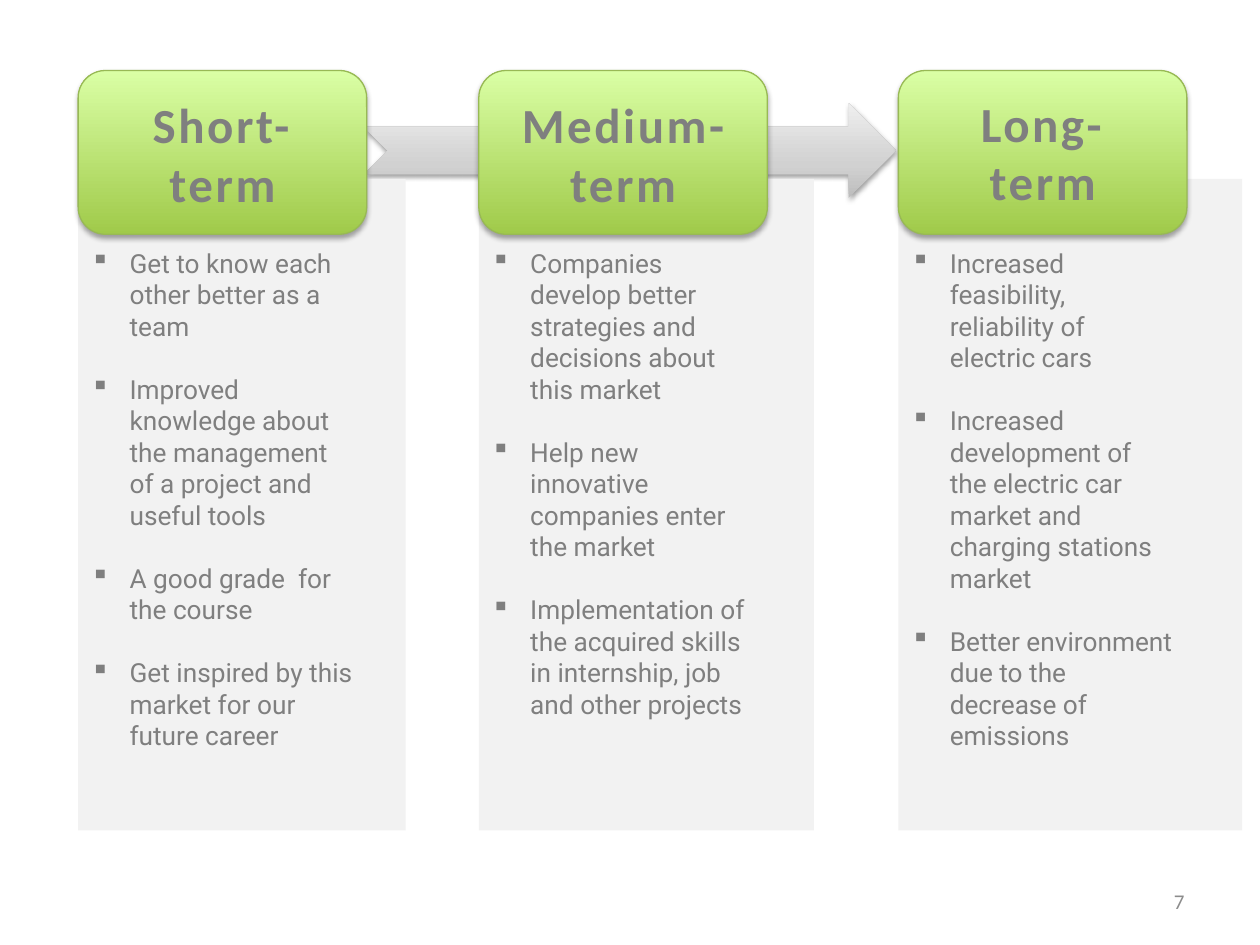
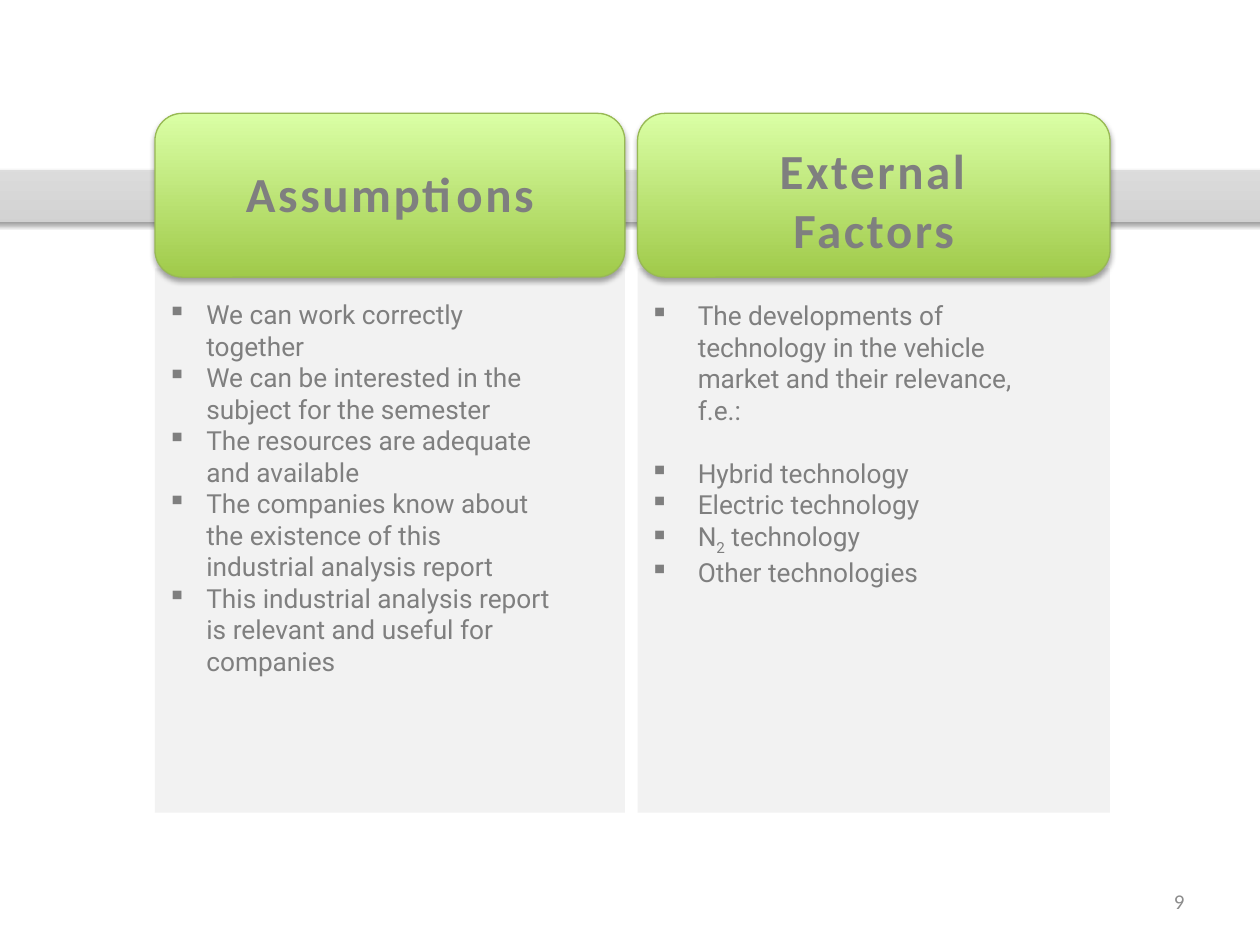
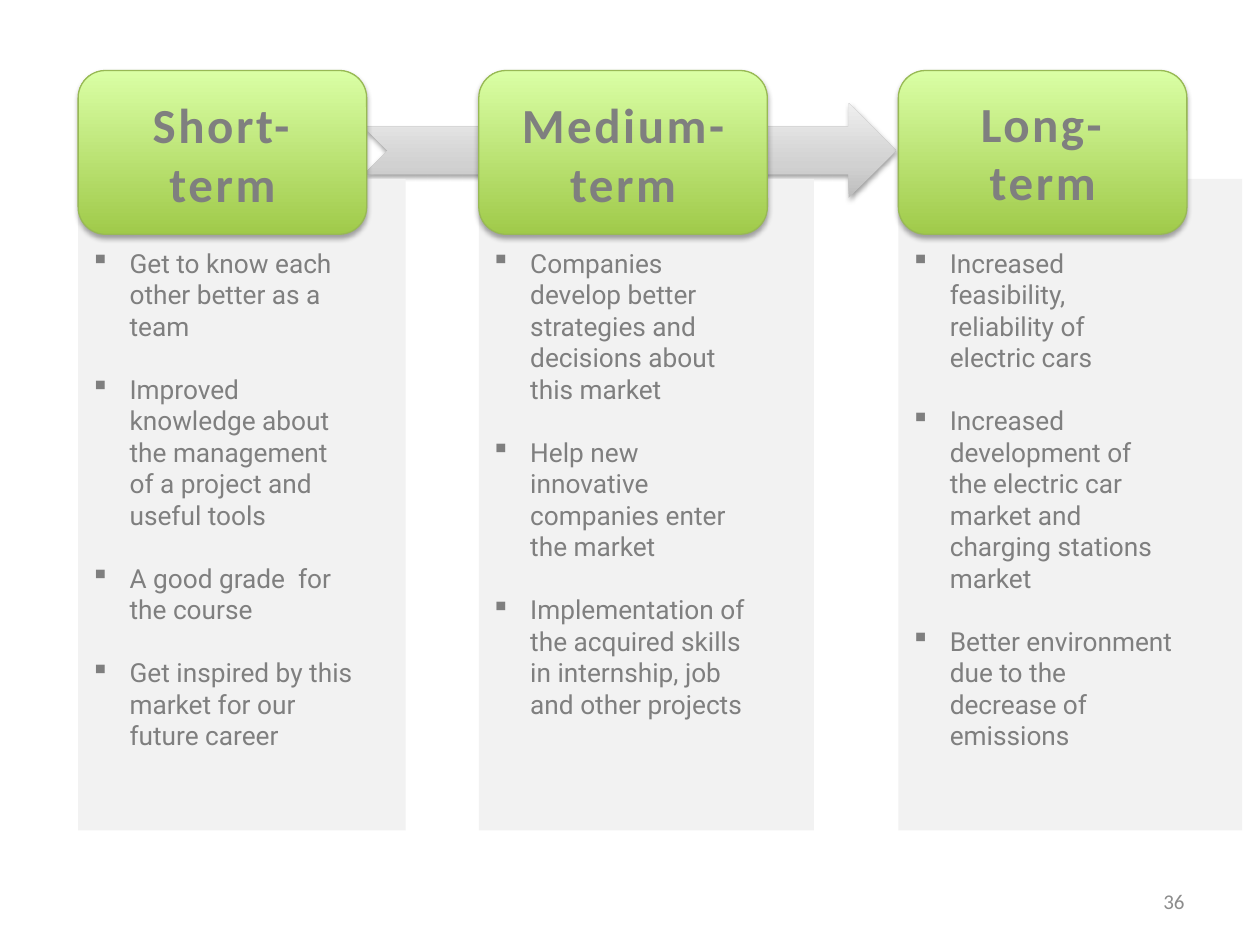
from copy import deepcopy
from dataclasses import dataclass

from lxml.etree import SubElement
from pptx import Presentation
from pptx.dml.color import RGBColor
from pptx.enum.shapes import MSO_SHAPE
from pptx.enum.text import MSO_ANCHOR, PP_ALIGN
from pptx.oxml.ns import qn
from pptx.util import Inches, Pt

GREEN = [(0, "A0CA4A"), (1, "DAFFA5")]
GREEN_EDGE = "98B955"
SILVER = [(0, "BDBDBD"), (0.35, "D1D1D1"), (1, "EEEEEE")]
PANEL = "F2F2F2"
GREY = "7F7F7F"
NUMBER_GREY = "8C8C8C"
HEAD_FONT, BODY_FONT = "Calibri", "Roboto"
BLANK_LAYOUT = 6
CARD_HEIGHT = 1.3


@dataclass
class Column:
    """A heading card over a panel of bullets; blocks are groups of lines set apart by a gap."""
    left: float
    card_width: float
    panel_width: float
    heading: list
    heading_top: float
    heading_width: float
    blocks: list
    body_top: float
    body_width: float
    indent: float = 0.31


def color(hex_string):
    return RGBColor.from_string(hex_string)


def write(frame, blocks, font=BODY_FONT, size=15, fill=GREY, bold=False,
          align=PP_ALIGN.LEFT, spacing=0, indent=0, gap=18):
    """Fill a text frame; parts between tildes are set as subscripts."""
    lines = [(line, gap if block and not position else 0)
             for block, group in enumerate(blocks)
             for position, line in enumerate(group)]
    for index, (line, space) in enumerate(lines):
        paragraph = frame.paragraphs[0] if index == 0 else frame.add_paragraph()
        if indent:
            add_bullet(paragraph, indent)
        paragraph.alignment = align
        paragraph.space_before = Pt(space)
        for part, words in enumerate(line.split("~")):
            run = paragraph.add_run()
            run.text = words
            run.font.name, run.font.size, run.font.bold = font, Pt(size), bold
            run.font.color.rgb = color(fill)
            properties = run._r.get_or_add_rPr()
            if spacing:
                properties.set("spc", str(int(spacing * 100)))
            if part % 2:
                properties.set("baseline", "-25000")


def add_bullet(paragraph, indent):
    properties = paragraph._p.get_or_add_pPr()
    properties.set("marL", str(Inches(indent)))
    properties.set("indent", str(-Inches(indent)))
    SubElement(properties, qn("a:buChar"), char="▪")


def add_shadow(shape, opacity, distance):
    effects = shape._element.spPr.find(qn("a:effectLst"))
    shadow = SubElement(effects, qn("a:outerShdw"), blurRad=str(Pt(3.1)),
                        dist=str(Pt(distance)), dir="5400000", rotWithShape="0")
    black = SubElement(shadow, qn("a:srgbClr"), val="000000")
    SubElement(black, qn("a:alpha"), val=str(opacity * 1000))


def fill_gradient(shape, stops):
    """Fill from bottom to top with (position, colour) stops."""
    shape.fill.gradient()
    shape.fill.gradient_angle = 90
    stop_list = shape._element.spPr.find(".//" + qn("a:gsLst"))
    while len(stop_list) < len(stops):
        stop_list.append(deepcopy(stop_list[-1]))
    for stop, (position, shade) in zip(shape.fill.gradient_stops, stops):
        stop.position = position
        stop.color.rgb = color(shade)


class Deck:
    def __init__(self):
        self.presentation = Presentation()
        self.presentation.slide_width = Inches(10)
        self.presentation.slide_height = Inches(7.5)
        self.slide = None

    def new_slide(self, number):
        layout = self.presentation.slide_layouts[BLANK_LAYOUT]
        self.slide = self.presentation.slides.add_slide(layout)
        self.text([[number]], 7.17, 6.95, 2.33, 0.4, anchor=MSO_ANCHOR.MIDDLE,
                  font=HEAD_FONT, size=12, fill=NUMBER_GREY, align=PP_ALIGN.RIGHT)

    def shape(self, kind, left, top, width, height, fill, edge=None):
        shape = self.slide.shapes.add_shape(
            kind, Inches(left), Inches(top), Inches(width), Inches(height))
        if isinstance(fill, str):
            shape.fill.solid()
            shape.fill.fore_color.rgb = color(fill)
        else:
            fill_gradient(shape, fill)
        if edge:
            shape.line.color.rgb = color(edge)
            shape.line.width = Pt(0.75)
        else:
            shape.line.fill.background()
        shape.shadow.inherit = False
        return shape

    def text(self, blocks, left, top, width, height, anchor=MSO_ANCHOR.TOP, **style):
        frame = self.slide.shapes.add_textbox(
            Inches(left), Inches(top), Inches(width), Inches(height)).text_frame
        frame.word_wrap = True
        frame.vertical_anchor = anchor
        write(frame, blocks, **style)

    def band(self, kind, left, top, width, height):
        add_shadow(self.shape(kind, left, top, width, height, SILVER), 38, 1.6)

    def panels(self, columns, top, bottom):
        for column in columns:
            self.shape(MSO_SHAPE.RECTANGLE, column.left, top,
                       column.panel_width, bottom - top, PANEL)

    def cards(self, columns, top):
        for column in columns:
            card = self.shape(MSO_SHAPE.ROUNDED_RECTANGLE, column.left, top,
                              column.card_width, CARD_HEIGHT, GREEN, GREEN_EDGE)
            add_shadow(card, 35, 1.8)

    def column_texts(self, columns):
        for column in columns:
            margin = (column.card_width - column.heading_width) / 2
            self.text([column.heading], column.left + margin, column.heading_top,
                      column.heading_width, 1.04, font=HEAD_FONT, size=28, bold=True,
                      align=PP_ALIGN.CENTER, spacing=1.5)
            self.text(column.blocks, column.left, column.body_top,
                      column.body_width, 4.14, indent=column.indent)


def term(left, panel_width, heading, goals, heading_top=0.7):
    return Column(left, 2.29, panel_width, heading, heading_top, 1.92,
                  [[goal] for goal in goals], 1.91, 2.28)


TERMS = [
    term(0.62, 2.6, ["Short-term"], [
        "Get to know each other better as a team",
        "Improved knowledge about the management of a project and useful tools",
        "A good grade  for the course",
        "Get inspired by this market for our future career"]),
    term(3.8, 2.66, ["Medium-", "term"], [
        "Companies develop better strategies and decisions about this market",
        "Help new innovative companies enter the market",
        "Implementation of the acquired skills in internship, job and other projects"]),
    term(7.13, 2.73, ["Long-term"], [
        "Increased feasibility, reliability of electric cars",
        "Increased development of the electric car market and charging stations market",
        "Better environment due to the decrease of emissions"], heading_top=0.69),
]

CONDITIONS = [
    Column(1.23, 3.73, 3.73, ["Assumptions"], 1.25, 2.78, [[
        "We can work correctly together",
        "We can be interested in the subject for the semester",
        "The resources are adequate and available",
        "The companies know about the existence of this industrial analysis report",
        "This industrial analysis report is relevant and useful for companies",
    ]], 2.32, 3.24),
    Column(5.06, 3.75, 3.75, ["External Factors"], 1.07, 3.04, [
        ["The developments of technology in the vehicle market and their relevance, f.e.:"],
        ["Hybrid technology", "Electric technology", "N~2~ technology",
         "Other technologies"],
    ], 2.33, 3.26, indent=0.38),
]


def build_goals(deck, number):
    deck.new_slide(number)
    deck.band(MSO_SHAPE.NOTCHED_RIGHT_ARROW, 2.89, 0.82, 4.22, 0.75)
    deck.panels(TERMS, 1.42, 6.59)
    deck.cards(TERMS, 0.56)
    deck.column_texts(TERMS)


def build_conditions(deck, number):
    deck.new_slide(number)
    deck.panels(CONDITIONS, 2.13, 6.45)
    deck.band(MSO_SHAPE.MATH_MINUS, -2.03, 0.69, 13.9, 1.73)
    deck.cards(CONDITIONS, 0.9)
    deck.column_texts(CONDITIONS)


def main():
    deck = Deck()
    build_goals(deck, "7")
    build_conditions(deck, "9")
    build_goals(deck, "36")
    deck.presentation.save("out.pptx")


if __name__ == "__main__":
    main()
